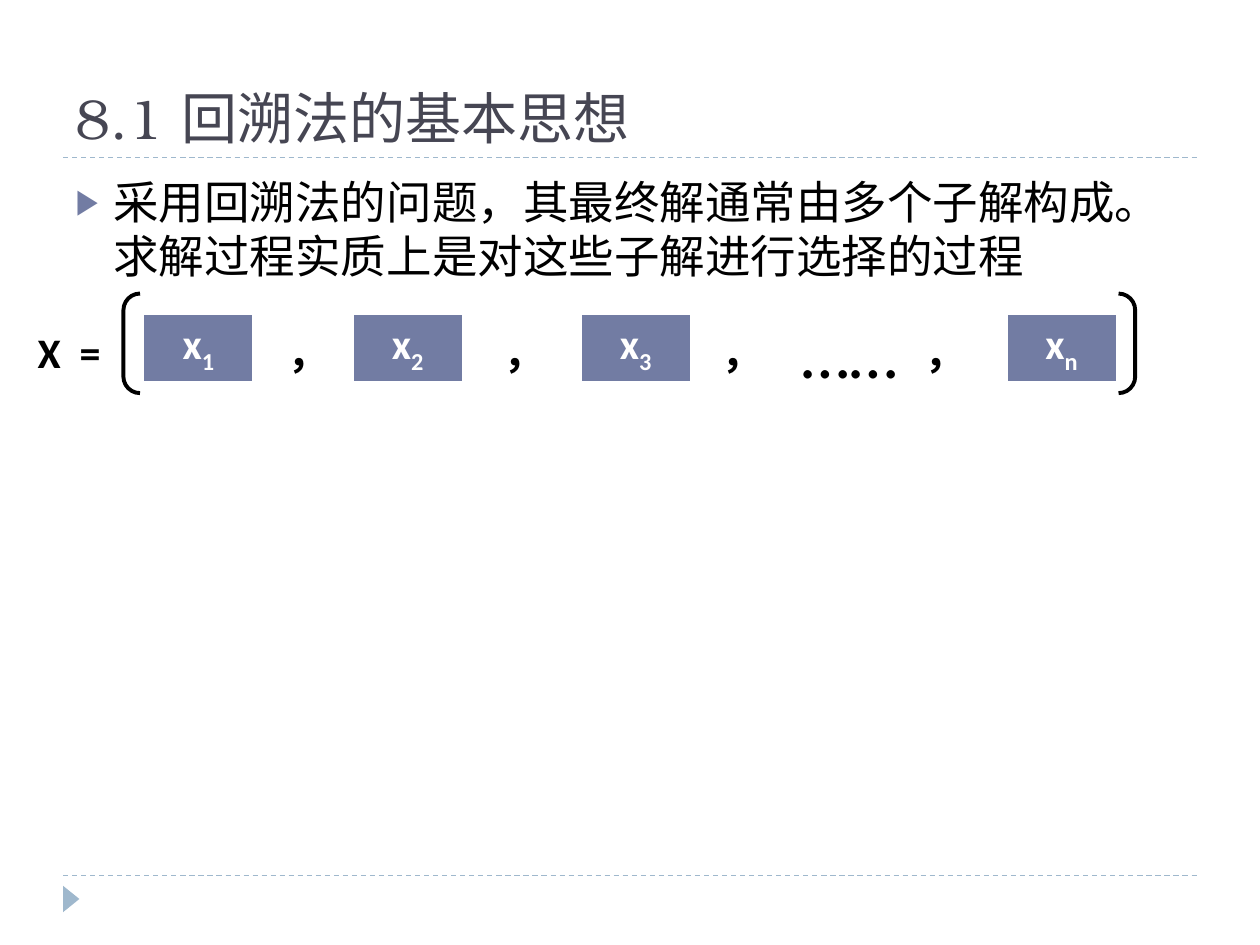
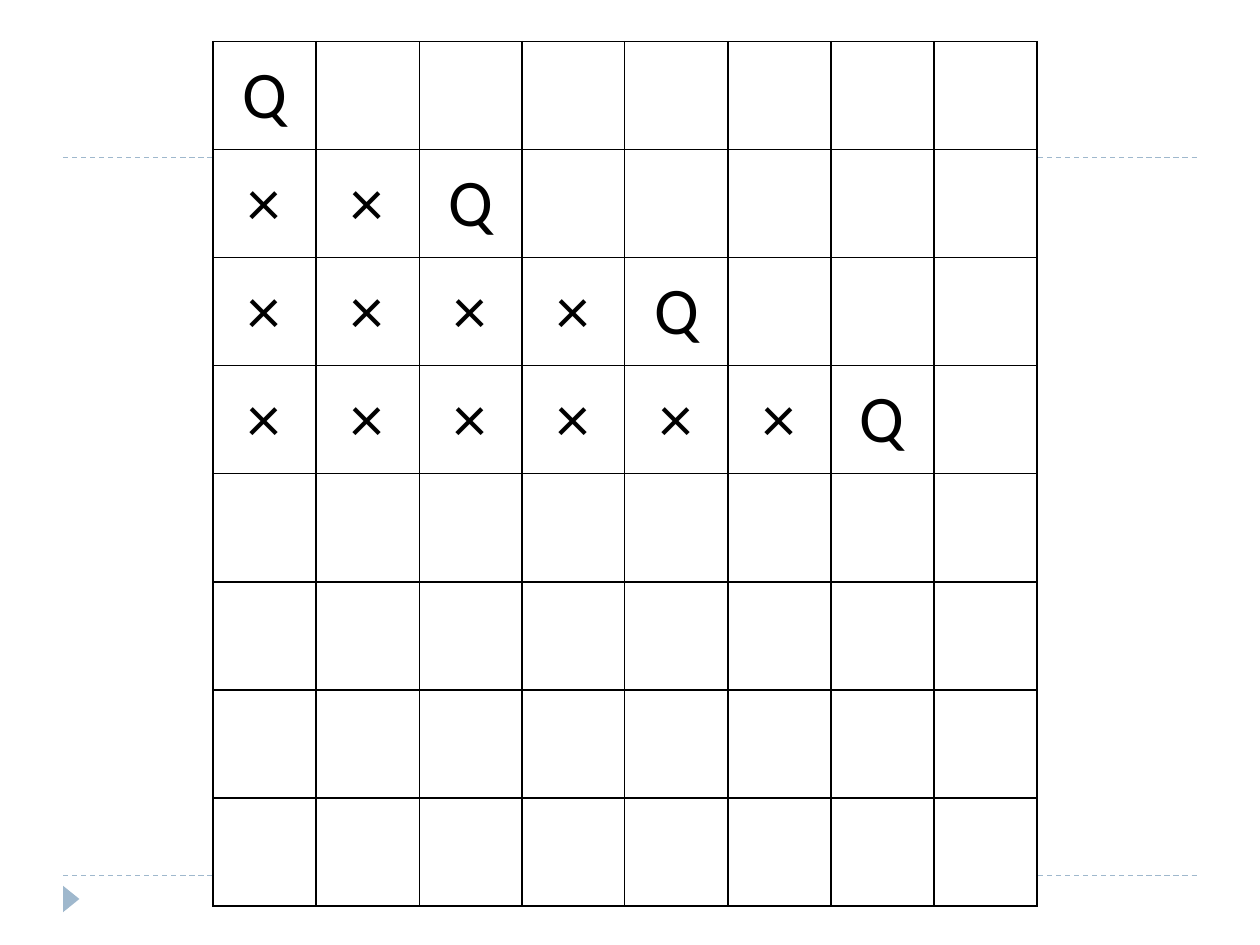
import dataclasses

import lxml.etree
import pptx
import pptx.dml.color
import pptx.enum.dml
import pptx.enum.shapes
import pptx.enum.text
import pptx.oxml.ns
import pptx.util

Inches = pptx.util.Inches
Pt = pptx.util.Pt
qn = pptx.oxml.ns.qn
rgb = pptx.dml.color.RGBColor.from_string
Shapes = pptx.enum.shapes.MSO_SHAPE
Align = pptx.enum.text.PP_ALIGN
Anchor = pptx.enum.text.MSO_ANCHOR
AutoSize = pptx.enum.text.MSO_AUTO_SIZE


@dataclasses.dataclass(frozen=True)
class Theme:
    ink: str = "000000"
    paper: str = "FFFFFF"
    heading: str = "464653"
    accent: str = "727CA3"
    trim: str = "9FB8CD"
    title_font: str = "TeX Gyre Bonum"
    body_font: str = "Cabin"
    plain_font: str = "Calibri"
    title_size: int = 32
    body_size: int = 26
    formula_size: int = 24
    dots_size: int = 40
    board_size: int = 38


theme = Theme()


def write_text(para, text, size, color=theme.ink, font=theme.plain_font,
               bold=False, baseline=0, align=Align.LEFT):
    para.alignment = align
    span = para.add_run()
    span.text = text
    span.font.size = Pt(size)
    span.font.name = font
    span.font.bold = bold
    span.font.color.rgb = rgb(color)
    if baseline:
        span.font._element.set("baseline", str(baseline * 1000))


def style_cell(cell, fill, line_color, widths):
    """Border widths are in points: left, right, top, bottom."""
    properties = cell._tc.get_or_add_tcPr()
    for side, width in zip("LRTB", widths):
        line = lxml.etree.SubElement(properties, qn(f"a:ln{side}"), w=str(Pt(width)))
        solid = lxml.etree.SubElement(line, qn("a:solidFill"))
        lxml.etree.SubElement(solid, qn("a:srgbClr"), val=line_color)
    cell.fill.solid()
    cell.fill.fore_color.rgb = rgb(fill)
    cell.vertical_anchor = Anchor.MIDDLE


deck = pptx.Presentation()
deck.slide_width, deck.slide_height = Inches(10), Inches(7.5)
idea_page = deck.slides.add_slide(deck.slide_layouts[1])
board_page = deck.slides.add_slide(deck.slide_layouts[6])

# Shared frame: two dashed rules and the corner triangle
for page in (idea_page, board_page):
    for y in (6.95, 1.25):
        rule = page.shapes.add_connector(
            pptx.enum.shapes.MSO_CONNECTOR.STRAIGHT,
            Inches(0.5), Inches(y), Inches(9.5), Inches(y))
        rule.line.color.rgb = rgb(theme.trim)
        rule.line.width = Pt(0.75)
        rule.line.dash_style = pptx.enum.dml.MSO_LINE.DASH
        lxml.etree.SubElement(rule._element.spPr, qn("a:effectLst"))
    marker = page.shapes.add_shape(Shapes.ISOSCELES_TRIANGLE, Inches(0.46),
                                   Inches(7.07), Inches(0.21), Inches(0.13))
    marker.rotation = 90
    marker.shadow.inherit = False
    marker.fill.solid()
    marker.fill.fore_color.rgb = rgb(theme.trim)
    marker.line.fill.background()

# Slide 1: title
title = idea_page.shapes.title
title.left, title.top = Inches(0.5), Inches(0.17)
title.width, title.height = Inches(9), Inches(1.08)
title.text_frame.auto_size = AutoSize.NONE
title.text_frame.vertical_anchor = Anchor.BOTTOM
write_text(title.text_frame.paragraphs[0], "8.1 回溯法的基本思想", theme.title_size,
           color=theme.heading, font=theme.title_font)

# Slide 1: bulleted statement
body = idea_page.placeholders[1]
body.left, body.top = Inches(0.5), Inches(1.33)
body.width, body.height = Inches(9), Inches(5.4)
body.text_frame.auto_size = AutoSize.NONE
para = body.text_frame.paragraphs[0]
write_text(para, "采用回溯法的问题，其最终解通常由多个子解构成。求解过程实质上是对这些子解进行选择的过程",
           theme.body_size, font=theme.body_font)
para.space_before = Pt(6)
bullet = para._p.get_or_add_pPr()
bullet.set("marL", str(Inches(0.3)))
bullet.set("indent", str(Inches(-0.3)))
bullet_color = lxml.etree.SubElement(bullet, qn("a:buClr"))
lxml.etree.SubElement(bullet_color, qn("a:srgbClr"), val=theme.accent)
lxml.etree.SubElement(bullet, qn("a:buSzPct"), val="76000")
lxml.etree.SubElement(bullet, qn("a:buChar"), char="▶")

# Slide 1: components of the solution vector
for left, index in ((1.14, "1"), (2.8, "2"), (4.61, "3"), (7.99, "n")):
    component = idea_page.shapes.add_table(
        1, 1, Inches(left), Inches(2.49), Inches(0.87), Inches(0.55)).table
    cell = component.cell(0, 0)
    style_cell(cell, theme.accent, theme.paper, (1, 1, 1, 3))
    para = cell.text_frame.paragraphs[0]
    for text, baseline in (("x", 0), (index, -25)):
        write_text(para, text, theme.formula_size, color=theme.paper, bold=True,
                   baseline=baseline, align=Align.CENTER)

# Slide 1: brackets and signs around the components
brackets = idea_page.shapes.add_shape(Shapes.DOUBLE_BRACKET, Inches(0.98),
                                      Inches(2.33), Inches(8.03), Inches(0.79))
brackets.shadow.inherit = False
brackets.fill.background()
brackets.line.color.rgb = rgb(theme.ink)
brackets.line.width = Pt(2.25)

signs = [("……", 6.26, 2.4, 0.98, 0.77, theme.dots_size, False),
         ("X  =", 0.2, 2.54, 0.71, 0.5, theme.formula_size, True)]
signs += [("，", left, 2.54, 0.54, 0.5, theme.formula_size, True)
          for left in (2.18, 3.9, 5.63, 7.24)]
for text, left, top, width, height, size, bold in signs:
    box = idea_page.shapes.add_textbox(Inches(left), Inches(top),
                                       Inches(width), Inches(height))
    box.text_frame.word_wrap = False
    box.text_frame.auto_size = AutoSize.SHAPE_TO_FIT_TEXT
    write_text(box.text_frame.paragraphs[0], text, size, bold=bold)

# Slide 2: chessboard, each queen preceded by the squares already rejected
board_side = 8
queen_columns = (0, 2, 4, 6)
edge_widths = [0.5 if edge in (2, 4) else 1 for edge in range(board_side + 1)]
board = board_page.shapes.add_table(board_side, board_side, Inches(1.69), Inches(0.33),
                                    Inches(6.54), Inches(6.86)).table
board.first_row = board.horz_banding = False
for row in range(board_side):
    for column in range(board_side):
        cell = board.cell(row, column)
        style_cell(cell, theme.paper, theme.ink,
                   edge_widths[column:column + 2] + edge_widths[row:row + 2])
        cell.margin_left = cell.margin_right = Inches(0.21)
        cell.margin_top = cell.margin_bottom = Inches(0.1)
        if row < len(queen_columns) and column <= queen_columns[row]:
            mark = "Q" if column == queen_columns[row] else "×"
            write_text(cell.text_frame.paragraphs[0], mark, theme.board_size,
                       align=Align.CENTER)

deck.save("out.pptx")
